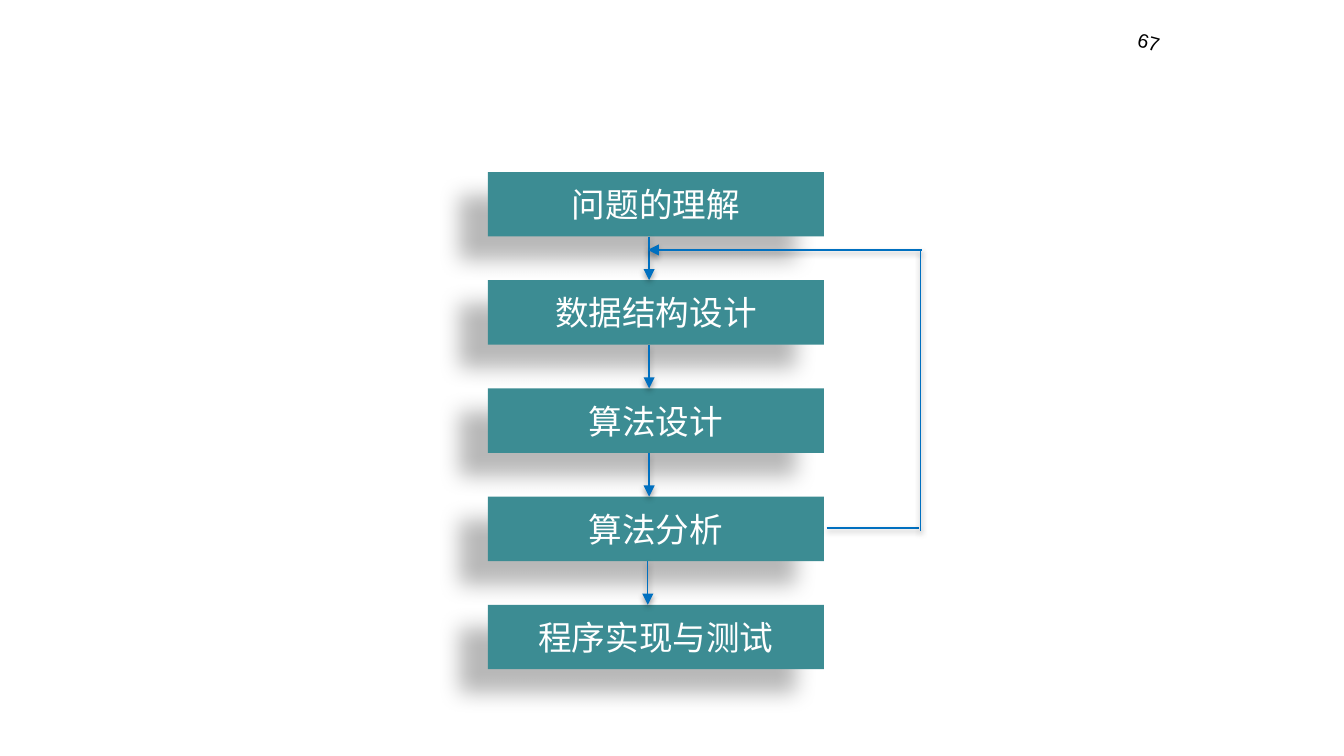
"""Builds a slide with a five-step algorithm design flowchart and a feedback loop."""
from lxml.etree import SubElement
from pptx import Presentation
from pptx.dml.color import RGBColor
from pptx.enum.shapes import MSO_CONNECTOR, MSO_SHAPE
from pptx.enum.text import MSO_ANCHOR, PP_ALIGN
from pptx.oxml.ns import qn
from pptx.util import Inches, Pt

STEPS = ["问题的理解", "数据结构设计", "算法设计", "算法分析", "程序实现与测试"]
PAGE_NUMBER = "67"

TEAL = RGBColor(0x3C, 0x8C, 0x93)
BLUE = RGBColor(0x00, 0x70, 0xC0)
WHITE = RGBColor(0xFF, 0xFF, 0xFF)
BLACK = RGBColor(0x00, 0x00, 0x00)

BOX_LEFT, BOX_W, BOX_H = 3.63, 2.5, 0.48
FIRST_TOP, LAST_TOP = 1.28, 4.5
PITCH = (LAST_TOP - FIRST_TOP) / (len(STEPS) - 1)
ARROW_X = [4.83, 4.83, 4.83, 4.82]
LOOP_LINES = [
    ((6.15, 3.93), (6.84, 3.93), False),
    ((6.86, 1.86), (4.82, 1.86), True),
    ((6.85, 1.86), (6.85, 3.95), False),
]
BOX_SHADOW = dict(blur=11.8, dist=19.7, angle=141, alpha=28)
LINE_SHADOW = dict(blur=3.1, dist=1.6, angle=90, alpha=38)


def add_shadow(shape, blur, dist, angle, alpha):
    effects = SubElement(shape._element.spPr, qn("a:effectLst"))
    shadow = SubElement(effects, qn("a:outerShdw"), blurRad=str(Pt(blur)),
                        dist=str(Pt(dist)), dir=str(angle * 60000),
                        algn="ctr", rotWithShape="0")
    color = SubElement(shadow, qn("a:srgbClr"), val="000000")
    SubElement(color, qn("a:alpha"), val=str(alpha * 1000))


def write(shape, text, size, font, color, align):
    p = shape.text_frame.paragraphs[0]
    p.alignment = align
    r = p.add_run()
    r.text = text
    r.font.size = Pt(size)
    r.font.name = font
    r.font.color.rgb = color
    SubElement(r.font._element, qn("a:ea"), typeface=font)


def add_step(s, text, top):
    box = s.shapes.add_shape(MSO_SHAPE.RECTANGLE, Inches(BOX_LEFT), Inches(top),
                             Inches(BOX_W), Inches(BOX_H))
    box.fill.solid()
    box.fill.fore_color.rgb = TEAL
    box.line.fill.background()
    add_shadow(box, **BOX_SHADOW)
    box.text_frame.vertical_anchor = MSO_ANCHOR.MIDDLE
    write(box, text, 18, "Noto Sans CJK SC", WHITE, PP_ALIGN.CENTER)


def add_line(s, start, end, arrow):
    line = s.shapes.add_connector(MSO_CONNECTOR.STRAIGHT,
                                  *(Inches(v) for v in start + end))
    line.line.color.rgb = BLUE
    line.line.width = Pt(0.75)
    if arrow:
        SubElement(line.line._get_or_add_ln(), qn("a:tailEnd"), type="triangle")
    add_shadow(line, **LINE_SHADOW)


def main():
    prs = Presentation()
    prs.slide_width = Inches(10)
    prs.slide_height = prs.slide_width * 9 // 16
    s = prs.slides.add_slide(prs.slide_layouts[6])

    tops = [FIRST_TOP + i * PITCH for i in range(len(STEPS))]
    for text, top in zip(STEPS, tops):
        add_step(s, text, top)
    for x, top, next_top in zip(ARROW_X, tops, tops[1:]):
        add_line(s, (x, top + BOX_H), (x, next_top), True)
    for start, end, arrow in LOOP_LINES:
        add_line(s, start, end, arrow)

    number = s.shapes.add_textbox(Inches(6.87), Inches(-0.02), Inches(1.88), Inches(0.3))
    number.rotation = 15
    number.text_frame.word_wrap = True
    write(number, PAGE_NUMBER, 10.5, "Arial", BLACK, PP_ALIGN.RIGHT)

    prs.save("out.pptx")


if __name__ == "__main__":
    main()
